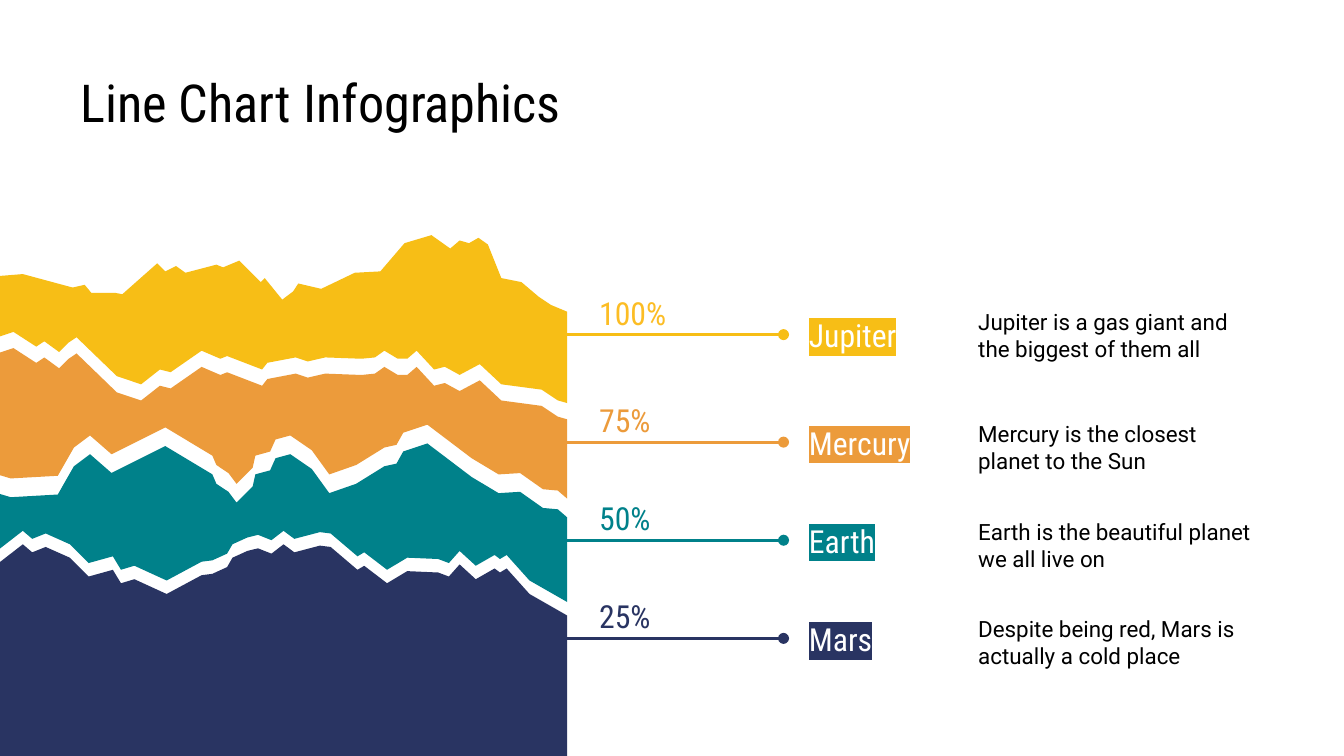
from lxml.etree import SubElement
from pptx import Presentation
from pptx.dml.color import RGBColor
from pptx.enum.shapes import MSO_CONNECTOR
from pptx.enum.text import MSO_ANCHOR
from pptx.oxml.ns import qn
from pptx.util import Pt

PX = 9144  # EMU per px, 100 px to the inch

BLACK = RGBColor(0x00, 0x00, 0x00)
WHITE = RGBColor(0xFF, 0xFF, 0xFF)
YELLOW = RGBColor(0xF7, 0xBE, 0x16)
AMBER = RGBColor(0xFC, 0xBD, 0x24)
ORANGE = RGBColor(0xEC, 0x9B, 0x3B)
TEAL = RGBColor(0x00, 0x81, 0x8A)
NAVY = RGBColor(0x29, 0x34, 0x62)

# Ridge lines from left to right; each one is the top of a band
# and, moved up by the gap, the bottom of the band above it
YELLOW_RIDGE = [
    (-150, 233), (-146, 229), (-118, 219), (-112, 209), (-99, 207), (-90, 191),
    (-81, 184), (-58, 196), (-31, 199), (-20, 207), (17, 204), (54, 214),
    (63, 212), (68, 218), (86, 218), (91, 219), (117, 196), (123, 202),
    (131, 198), (138, 203), (161, 197), (166, 199), (178, 194), (194, 210),
    (197, 207), (210, 223), (218, 217), (222, 211), (239, 215), (264, 203),
    (283, 202), (301, 181), (321, 175), (335, 185), (342, 179), (349, 181),
    (356, 177), (363, 182), (373, 207), (388, 210), (401, 221), (410, 227),
    (422, 232)]
ORANGE_RIDGE = [
    (-150, 313), (-119, 302), (-102, 289), (-94, 293), (-82, 293), (-58, 281),
    (-45, 277), (-38, 280), (-15, 263), (-2, 263), (10, 259), (27, 270),
    (33, 266), (44, 274), (51, 267), (57, 263), (87, 292), (105, 298),
    (119, 287), (127, 289), (150, 273), (164, 279), (169, 277), (195, 287),
    (199, 282), (220, 278), (229, 281), (242, 278), (269, 279), (279, 278),
    (286, 273), (296, 279), (303, 279), (310, 273), (323, 287), (331, 285),
    (342, 291), (357, 283), (373, 298), (403, 302), (415, 310), (422, 312)]
TEAL_RIDGE = [
    (-150, 385), (-124, 374), (-112, 374), (-97, 363), (-89, 363), (-78, 356),
    (-64, 347), (-56, 348), (-45, 359), (-36, 361), (-24, 358), (-12, 364),
    (8, 370), (43, 368), (55, 347), (67, 338), (83, 352), (123, 332),
    (158, 353), (161, 360), (170, 366), (176, 374), (188, 362), (190, 353),
    (201, 350), (205, 341), (216, 338), (232, 349), (245, 367), (265, 360),
    (286, 347), (295, 345), (300, 336), (318, 330), (351, 355), (371, 367),
    (387, 366), (404, 378), (415, 379), (422, 385)]
NAVY_RIDGE = [
    (-150, 460), (-140, 450), (-128, 436), (-92, 414), (-81, 420), (-66, 420),
    (-45, 434), (-19, 433), (-7, 415), (-1, 419), (17, 405), (24, 411),
    (34, 407), (52, 415), (66, 429), (84, 424), (90, 434), (100, 431),
    (124, 442), (150, 428), (158, 427), (169, 422), (173, 415), (184, 410),
    (192, 408), (202, 412), (211, 405), (219, 411), (238, 406), (246, 407),
    (266, 424), (271, 421), (288, 434), (303, 425), (326, 426), (334, 429),
    (342, 420), (354, 431), (368, 423), (372, 426), (377, 423), (394, 442),
    (422, 458)]
BASE = [(-150, 606), (422, 606)]

# Ridge, gap to the next ridge, colour
BANDS = [(YELLOW_RIDGE, 12, YELLOW), (ORANGE_RIDGE, 14, ORANGE),
         (TEAL_RIDGE, 10, TEAL), (NAVY_RIDGE, 0, NAVY)]

# Line height on the slide, top of the description, colours, texts
ROWS = [
    (249, 222, YELLOW, AMBER, "100%", "Jupiter",
     "Jupiter is a gas giant and the biggest of them all"),
    (329, 305, ORANGE, ORANGE, "75%", "Mercury",
     "Mercury is the closest planet to the Sun"),
    (402, 378, TEAL, TEAL, "50%", "Earth",
     "Earth is the beautiful planet we all live on"),
    (475, 450, NAVY, NAVY, "25%", "Mars",
     "Despite being red, Mars is actually a cold place"),
]

presentation = Presentation()
presentation.slide_width = 1000 * PX
presentation.slide_height = presentation.slide_width * 9 // 16
slide = presentation.slides.add_slide(presentation.slide_layouts[6])
shapes = slide.shapes


def add_text(left, top, width, height, text, size, font_name, color,
             anchor=MSO_ANCHOR.MIDDLE):
    box = shapes.add_textbox(left * PX, top * PX, width * PX, height * PX)
    frame = box.text_frame
    frame.word_wrap = True
    frame.vertical_anchor = anchor
    frame.margin_left = frame.margin_right = 10 * PX
    frame.margin_top = frame.margin_bottom = 10 * PX
    paragraph = frame.paragraphs[0]
    run = paragraph.add_run()
    run.text = text
    paragraph.font.size = Pt(size)
    paragraph.font.name = font_name
    paragraph.font.color.rgb = color
    return run


# Title
add_text(50, 42, 900, 63, "Line Chart Infographics", 28, "Roboto Condensed",
         BLACK, MSO_ANCHOR.TOP)

# Layered bands
next_ridges = [ridge for ridge, _, _ in BANDS[1:]] + [BASE]
for (ridge, gap, color), next_ridge in zip(BANDS, next_ridges):
    bottom = [(x, y - gap) for x, y in reversed(next_ridge)]
    builder = shapes.build_freeform(*ridge[0], scale=PX)
    builder.add_line_segments(ridge[1:] + bottom, close=True)
    band = builder.convert_to_shape()
    band.shadow.inherit = False
    band.fill.solid()
    band.fill.fore_color.rgb = color
    band.line.fill.background()

# Callouts: line with a dot, percentage, planet and description
for line_y, text_top, color, percent_color, percent, planet, description in ROWS:
    connector = shapes.add_connector(
        MSO_CONNECTOR.STRAIGHT, 417 * PX, line_y * PX, 583 * PX, line_y * PX)
    connector.line.color.rgb = color
    connector.line.width = Pt(1.5)
    SubElement(connector.line._get_or_add_ln(), qn("a:tailEnd"), type="oval")
    SubElement(connector._element.spPr, qn("a:effectLst"))

    add_text(436, line_y - 33, 116, 33, percent, 17, "Roboto Condensed",
             percent_color)
    planet_run = add_text(592, line_y - 16, 116, 33, planet, 17,
                          "Roboto Condensed", WHITE)
    highlight = SubElement(planet_run._r.get_or_add_rPr(), qn("a:highlight"))
    SubElement(highlight, qn("a:srgbClr"), val=str(color))
    add_text(718, text_top, 232, 55, description, 12, "Roboto", BLACK)

presentation.save("out.pptx")
